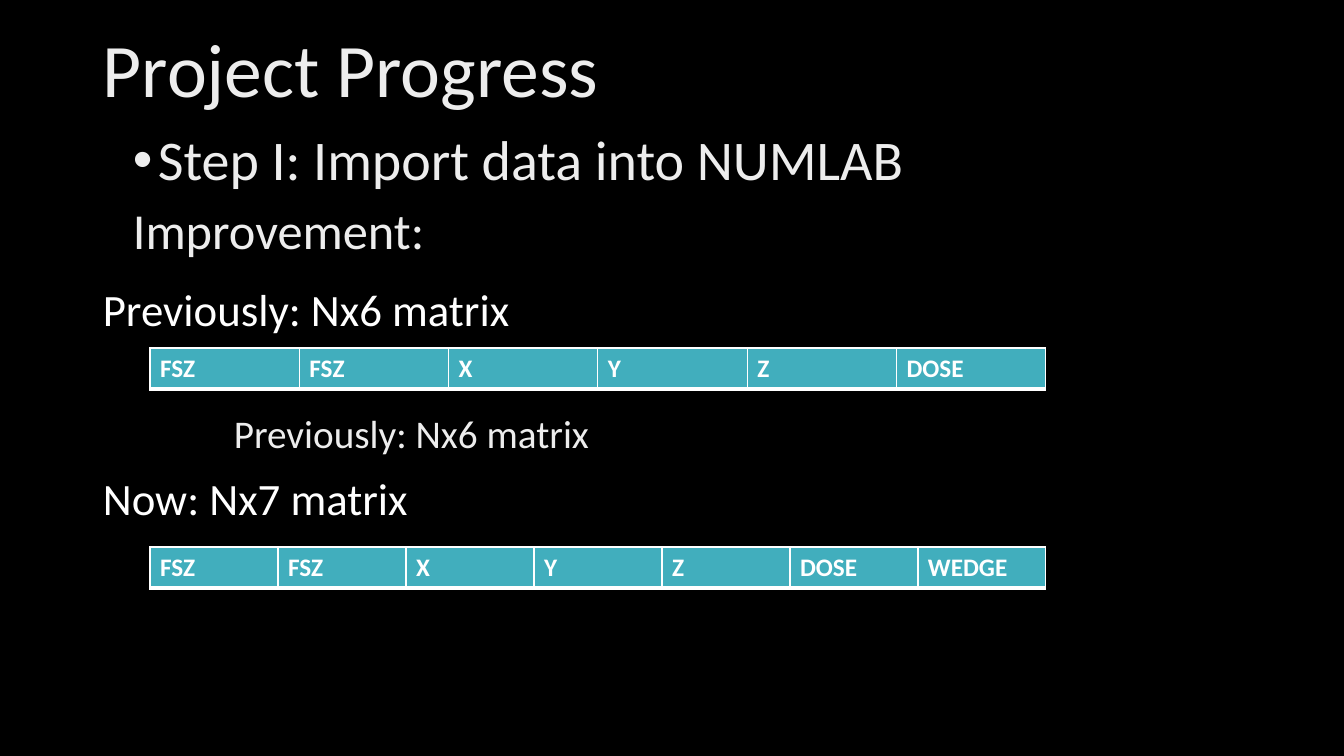
from pptx import Presentation
from pptx.dml.color import RGBColor
from pptx.enum.text import MSO_ANCHOR
from pptx.oxml import parse_xml
from pptx.oxml.ns import nsdecls
from pptx.util import Pt

PX = 914400 / 100.8
BLACK = RGBColor(0x00, 0x00, 0x00)
WHITE = RGBColor(0xFF, 0xFF, 0xFF)
SILVER = RGBColor(0xED, 0xED, 0xED)
TEAL = RGBColor(0x41, 0xAE, 0xBD)


def px(*values):
    """Turn pixel lengths into a list of EMU."""
    return [round(v * PX) for v in values]


def add_text(box, paragraphs, color, spacing=None):
    """Add a text box at box, with one (text, size) pair per paragraph."""
    tf = slide.shapes.add_textbox(*px(*box)).text_frame
    tf.word_wrap = True
    tf.text = "\n".join(text for text, size in paragraphs)
    for p, (text, size) in zip(tf.paragraphs, paragraphs):
        p.line_spacing = spacing
        font = p.runs[0].font
        font.name, font.size = "Calibri", Pt(size)
        font.color.rgb = color
    return tf


prs = Presentation()
prs.slide_width, prs.slide_height = px(1344, 756)
slide = prs.slides.add_slide(prs.slide_layouts[6])
slide.background.fill.solid()
slide.background.fill.fore_color.rgb = BLACK

title = add_text((93, 0, 1159, 146), [("Project Progress", 54)], SILVER, 0.9)
title.vertical_anchor = MSO_ANCHOR.MIDDLE

body = add_text((123, 127, 1128, 480), [
    ("Step I: Import data into NUMLAB", 40),
    ("Improvement:", 36),
    ("Previously: Nx6 matrix", 28),
], SILVER, 0.9)
step, improvement, previous = body.paragraphs
step.space_before = improvement.space_before = Pt(10)
previous.space_before = Pt(110)
indent, margin = px(25, 101)
pPr = step._p.get_or_add_pPr()
pPr.set("marL", str(indent))
pPr.set("indent", str(-indent))
pPr.append(parse_xml(f'<a:buFont {nsdecls("a")} typeface="Arial"/>'))
pPr.append(parse_xml(f'<a:buChar {nsdecls("a")} char="&#8226;"/>'))
previous._p.get_or_add_pPr().set("marL", str(margin))

COLUMNS = ["FSZ", "FSZ", "X", "Y", "Z", "DOSE", "WEDGE"]
BORDERS = {"lnL": 1, "lnR": 1, "lnT": 1, "lnB": 3}
matrices = [
    ("Previously: Nx6 matrix", 277, 348, COLUMNS[:6]),
    ("Now: Nx7 matrix", 466, 547, COLUMNS),
]
for label, label_top, table_top, names in matrices:
    add_text((93, label_top, 1123, 119), [(label, 32)], WHITE)
    table = slide.shapes.add_table(
        1, len(names), *px(150, table_top, 896, 41)).table
    for cell, name in zip(table.iter_cells(), names):
        cell.text = name
        font = cell.text_frame.paragraphs[0].runs[0].font
        font.name, font.size, font.bold = "Calibri", Pt(18), True
        font.color.rgb = WHITE
        tcPr = cell._tc.get_or_add_tcPr()
        for side, width in BORDERS.items():
            tcPr.append(parse_xml(
                f'<a:{side} {nsdecls("a")} w="{Pt(width)}"><a:solidFill>'
                f'<a:srgbClr val="{WHITE}"/></a:solidFill></a:{side}>'))
        cell.fill.solid()
        cell.fill.fore_color.rgb = TEAL

prs.save("out.pptx")
